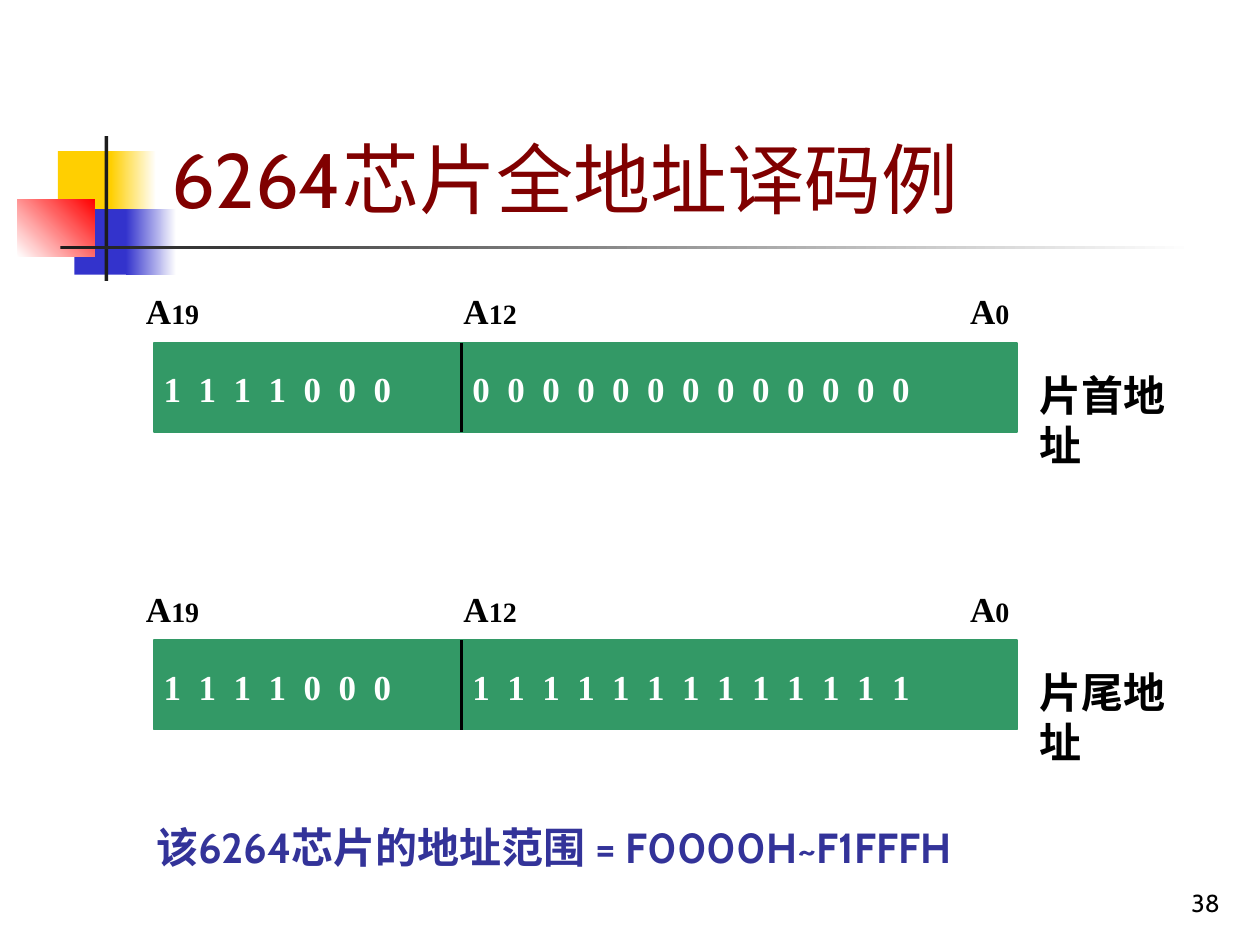
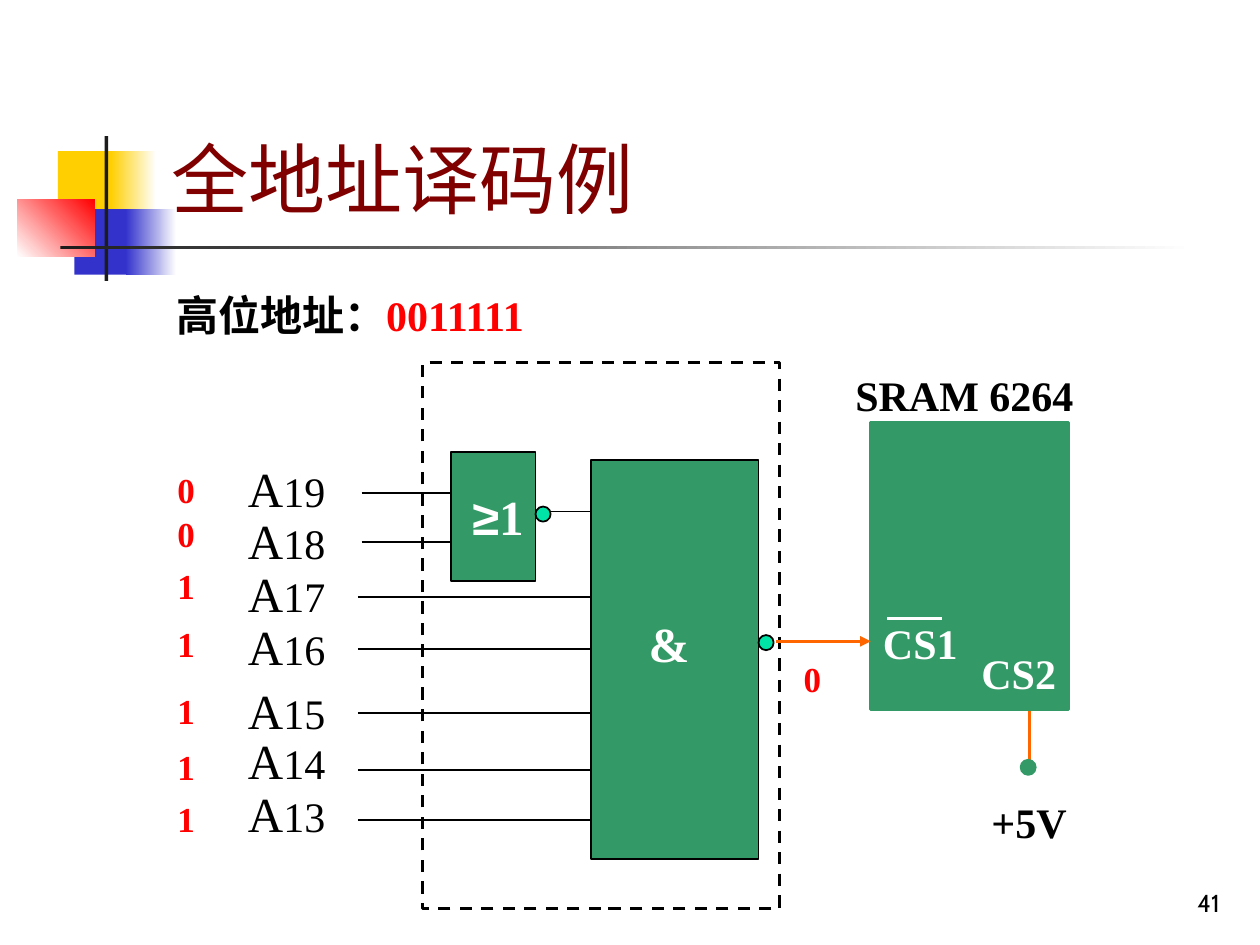
import dataclasses
from typing import Any

import pptx
import pptx.dml.color
import pptx.enum.dml
import pptx.enum.shapes
import pptx.enum.text
import pptx.oxml
import pptx.oxml.ns
import pptx.util

Inches = pptx.util.Inches
Pt = pptx.util.Pt
SHAPES = pptx.enum.shapes.MSO_SHAPE
ALIGN = pptx.enum.text.PP_ALIGN
ANCHOR = pptx.enum.text.MSO_ANCHOR

BLACK, WHITE, RED = "000000", "FFFFFF", "FF0000"
GREEN, MINT, ORANGE = "339966", "00E4A8", "FF6600"
YELLOW, BLUE, CHARCOAL = "FFCF01", "3333CC", "1C1C1C"
MAROON, INDIGO = "800000", "333399"


def font_style(size, color=BLACK, bold=True, name="Times New Roman"):
    return {"name": name, "size": Pt(size), "bold": bold, "color": color}


TITLE = font_style(44, MAROON, False, "Cabin")
PAGE_NUMBER = font_style(14, BLACK, False, "Cabin")
SUMMARY = font_style(24, INDIGO, True, "Cabin")
HEADING = font_style(24)
HEADING_RED = font_style(24, RED)
PIN = font_style(24, WHITE)
GATE = font_style(28, WHITE)
GATE_SIGN = font_style(28, WHITE, name="Arial")
BIT = font_style(20, RED)
STORED_BIT = font_style(20, WHITE)
LABEL, LABEL_INDEX = font_style(20), font_style(16)
BUS, BUS_INDEX = font_style(28, bold=False), font_style(24, bold=False)


def rgb(value):
    return pptx.dml.color.RGBColor.from_string(value)


def apply_font(font, style):
    for attribute, value in style.items():
        if attribute == "color":
            font.color.rgb = rgb(value)
        else:
            setattr(font, attribute, value)


@dataclasses.dataclass
class Region:
    """A box on a slide; everything drawn in it is placed from its top left corner."""
    slide: Any
    left: float = 0
    top: float = 0

    def box(self, left, top, width, height):
        return (Inches(self.left + left), Inches(self.top + top),
                Inches(width), Inches(height))

    def shape(self, box, fill=None, line=None, weight=1.0, kind=SHAPES.RECTANGLE):
        shape = self.slide.shapes.add_shape(kind, *self.box(*box))
        shape.shadow.inherit = False
        if fill:
            shape.fill.solid()
            shape.fill.fore_color.rgb = rgb(fill)
        else:
            shape.fill.background()
        if line:
            shape.line.color.rgb = rgb(line)
            shape.line.width = Pt(weight)
        else:
            shape.line.fill.background()
        return shape

    def gradient(self, box, start, end, angle=0):
        fill = self.shape(box).fill
        fill.gradient()
        fill.gradient_angle = angle
        for stop, position, color in zip(fill.gradient_stops, (0, 1), (start, end)):
            stop.position = position
            stop.color.rgb = rgb(color)

    def dot(self, left, top, fill, line=BLACK):
        self.shape((left, top, 0.12, 0.12), fill, line, kind=SHAPES.OVAL)

    def line(self, start, end, color=BLACK, weight=1.0, arrow=False):
        points = [Inches(value) for x, y in (start, end)
                  for value in (self.left + x, self.top + y)]
        connector = self.slide.shapes.add_connector(
            pptx.enum.shapes.MSO_CONNECTOR.STRAIGHT, *points)
        connector.line.color.rgb = rgb(color)
        connector.line.width = Pt(weight)
        if arrow:
            head = pptx.oxml.parse_xml(
                f'<a:tailEnd {pptx.oxml.ns.nsdecls("a")} type="triangle"/>')
            connector.line._get_or_add_ln().append(head)
        connector._element.spPr.append(
            pptx.oxml.parse_xml(f'<a:effectLst {pptx.oxml.ns.nsdecls("a")}/>'))

    def text(self, box, *runs, align=ALIGN.LEFT, anchor=ANCHOR.TOP, wrap=True,
             spacing=None, tracking=0):
        """Write (text, style) runs as one paragraph; tracking widens letters, in points."""
        frame = self.slide.shapes.add_textbox(*self.box(*box)).text_frame
        frame.word_wrap = wrap
        frame.vertical_anchor = anchor
        paragraph = frame.paragraphs[0]
        paragraph.alignment = align
        paragraph.line_spacing = spacing
        for content, style in runs:
            run = paragraph.add_run()
            run.text = content
            apply_font(run.font, style)
            if tracking:
                run._r.get_or_add_rPr().set("spc", str(int(tracking * 100)))


def draw_ornament(region):
    region.shape((0.32, 0.12, 0.48, 0.52), YELLOW)
    region.gradient((0.74, 0.12, 0.36, 0.52), YELLOW, WHITE)
    region.shape((0.45, 0.58, 0.46, 0.52), BLUE)
    region.gradient((0.86, 0.58, 0.4, 0.52), BLUE, WHITE)
    region.gradient((0, 0.5, 0.61, 0.46), WHITE, RED, angle=45)
    region.shape((0.69, 0, 0.03, 1.15), CHARCOAL)
    region.gradient((0.34, 0.87, 9, 0.03), CHARCOAL, WHITE)


def add_slide(presentation, title, number):
    slide = presentation.slides.add_slide(presentation.slide_layouts[6])
    draw_ornament(Region(slide, 0.14, 1.08))
    page = Region(slide)
    page.text((7.7, 6.83, 2.08, 0.5), (str(number), PAGE_NUMBER),
              align=ALIGN.RIGHT, anchor=ANCHOR.BOTTOM)
    page.text((1.26, 0.23, 8.52, 1.6), (title, TITLE), anchor=ANCHOR.BOTTOM)
    return slide


def draw_address_word(region, high_bits, low_bits, caption):
    """Draw a 20-bit address as a bar split at A12."""
    split = 2.44
    region.shape((0, 0, 6.85, 0.71), GREEN, GREEN)
    region.line((split, 0), (split, 0.71), weight=1.75)
    for left, index in ((-0.16, "19"), (2.36, "12"), (6.38, "0")):
        region.text((left, -0.47, 0.79, 0.44), ("A", LABEL), (index, LABEL_INDEX))
    for left, width, bits in ((-0.02, 2.52, high_bits), (2.43, 4.49, low_bits)):
        region.text((left, 0.15, width, 0.44), (" ".join(bits), STORED_BIT),
                    tracking=2.5)
    region.text((6.93, 0.16, 1.26, 0.9), (caption, HEADING))


def draw_address_inputs(region):
    """Draw the address lines: name, bit and wire of each."""
    # name, bit, then the tops of name and bit and the height of the wire
    rows = (
        ("19", "0", 0, 0.08, 0.32),
        ("18", "0", 0.41, 0.43, 0.71),
        ("17", "1", 0.83, 0.84, 1.15),
        ("16", "1", 1.25, 1.3, 1.56),
        ("15", "1", 1.76, 1.83, 2.07),
        ("14", "1", 2.16, 2.28, 2.52),
        ("13", "1", 2.58, 2.69, 2.92),
    )
    for index, bit, name_top, bit_top, wire in rows:
        start, end = (1.57, 2.29) if index in ("19", "18") else (1.54, 3.38)
        region.line((start, wire), (end, wire))
        region.text((0.57, name_top, 1, 0.57), ("A", BUS), (index, BUS_INDEX))
        region.text((0.01, bit_top, 0.39, 0.44), (bit, BIT))


def draw_decoder(region):
    """Draw the NOR and NAND gates inside their dashed frame."""
    region.shape((1.34, 0.77, 1.33, 3.17), GREEN, BLACK)
    region.shape((0.23, 0.71, 0.67, 1.02), GREEN, BLACK)
    region.line((1, 1.18), (1.34, 1.18))
    region.text((1.7, 1.94, 0.75, 0.57), ("&", GATE))
    region.text((0.3, 0.93, 0.75, 0.57), ("≥", GATE_SIGN), ("1", GATE))
    region.dot(0.9, 1.14, MINT)
    region.dot(2.67, 2.16, MINT)
    frame = region.shape((0, 0, 2.84, 4.33), line=BLACK, weight=1.75)
    frame.line.dash_style = pptx.enum.dml.MSO_LINE.DASH


def draw_memory_chip(region):
    region.shape((0, 0, 1.57, 2.28), GREEN, GREEN, 1.75)
    region.text((-0.22, -0.47, 1.93, 0.5), ("SRAM 6264", HEADING), wrap=False)
    region.line((-0.75, 1.74), (0, 1.74), ORANGE, 1.75, arrow=True)
    region.text((-0.63, 1.82, 0.39, 0.44), ("0", BIT))
    region.text((0, 1.5, 0.94, 0.5), ("CS1", PIN))
    region.line((0.13, 1.56), (0.57, 1.56), WHITE, 1.75)
    region.text((0.78, 1.74, 0.94, 0.5), ("CS2", PIN))
    region.line((1.26, 2.29), (1.26, 2.76), ORANGE, 1.75)
    region.dot(1.19, 2.68, GREEN, GREEN)
    region.text((0.86, 2.92, 1.02, 0.5), ("+5V", HEADING))


def build_range_slide(presentation):
    slide = add_slide(presentation, "6264芯片全地址译码例", 38)
    words = ((2.72, "0", "片首地址"), (5.08, "1", "片尾地址"))
    for top, low_bit, caption in words:
        draw_address_word(Region(slide, 1.22, top), "1111000", low_bit * 13, caption)
    Region(slide).text((1.14, 6.43, 7.72, 0.71),
                       ("该6264芯片的地址范围 = F0000H~F1FFFH", SUMMARY), spacing=1.1)


def build_circuit_slide(presentation):
    slide = add_slide(presentation, "全地址译码例", 41)
    Region(slide).text((1.3, 2.25, 4.96, 0.5),
                       ("高位地址：", HEADING), ("0011111", HEADING_RED))
    draw_address_inputs(Region(slide, 1.3, 3.59))
    draw_decoder(Region(slide, 3.35, 2.88))
    draw_memory_chip(Region(slide, 6.91, 3.35))


def main():
    presentation = pptx.Presentation()
    presentation.slide_width = Inches(10)
    presentation.slide_height = Inches(7.5)
    build_range_slide(presentation)
    build_circuit_slide(presentation)
    presentation.save("out.pptx")


if __name__ == "__main__":
    main()
